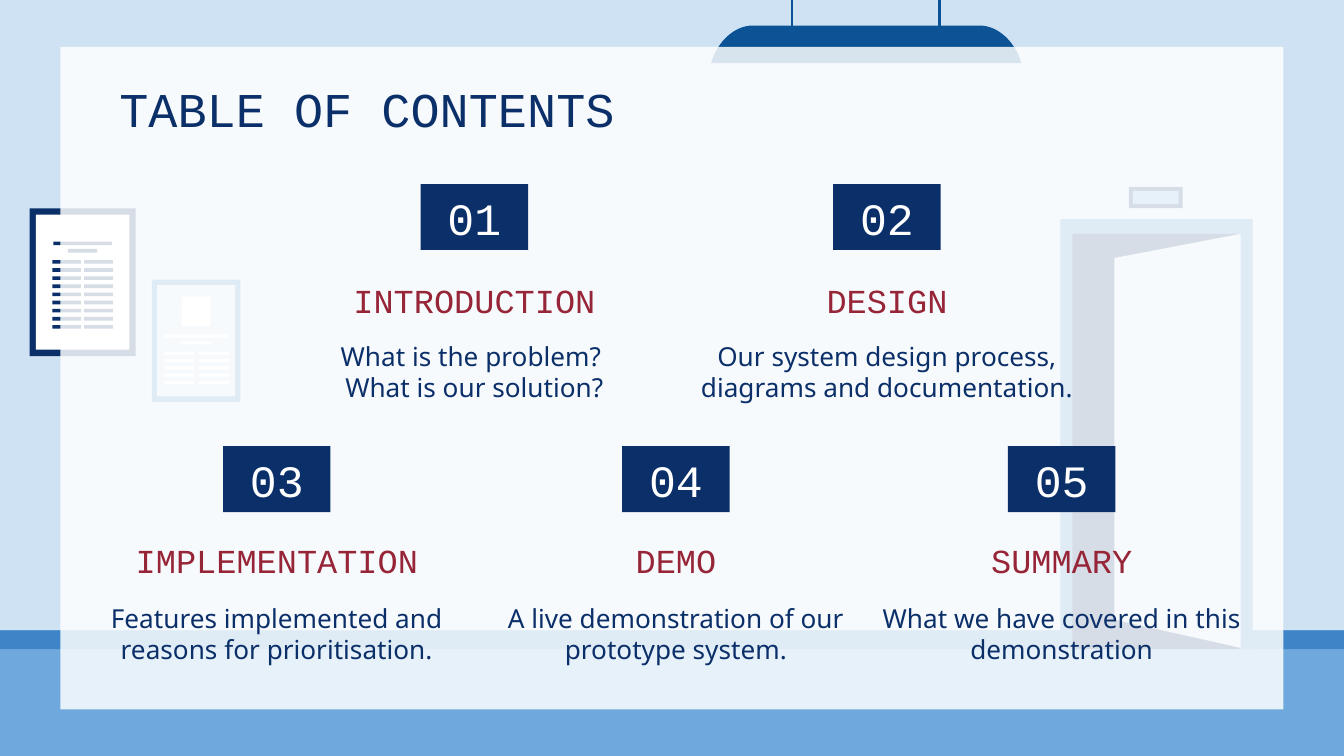
from itertools import product

from lxml import etree
from pptx import Presentation
from pptx.dml.color import RGBColor
from pptx.enum.shapes import MSO_CONNECTOR as Connector, MSO_SHAPE as Shape
from pptx.enum.text import MSO_ANCHOR as Anchor, PP_ALIGN as Align
from pptx.oxml.ns import qn
from pptx.util import Inches, Pt

WIDTH = 10
HEIGHT = WIDTH * 9 / 16
NAVY, BLUE, SKY, PALE = "0B2F69", "3D85C6", "6FA8DC", "CFE2F3"
LAMP, RED, WHITE = "0B5394", "972538", "FFFFFF"
MONO, SANS = "Courier New", "Noto Sans"

# Top and heading offset of each row; centre, number, heading, summary, summary width
ROWS = [
    (1.37, 0.58, [
        (3.53, "01", "INTRODUCTION",
         ["What is the problem? ", "What is our solution?"], 2.28),
        (6.6, "02", "DESIGN",
         ["Our system design process, diagrams and documentation."], 3),
    ]),
    (3.32, 0.57, [
        (2.06, "03", "IMPLEMENTATION",
         ["Features implemented and reasons for prioritisation."], 3),
        (5.03, "04", "DEMO",
         ["A live demonstration of our prototype system."], 3),
        (7.9, "05", "SUMMARY",
         ["What we have covered in this demonstration"], 3),
    ]),
]


def color(value):
    return RGBColor.from_string(value)


def paint(shape, fill):
    shape.shadow.inherit = False
    shape.fill.solid()
    shape.fill.fore_color.rgb = color(fill)
    shape.line.fill.background()
    return shape


def add_rect(page, left, top, width, height, fill):
    box = page.shapes.add_shape(Shape.RECTANGLE, Inches(left), Inches(top),
                                Inches(width), Inches(height))
    return paint(box, fill)


def add_outline(page, points, fill):
    corners = [(Inches(x), Inches(y)) for x, y in points]
    builder = page.shapes.build_freeform(*corners[0])
    builder.add_line_segments(corners[1:], close=True)
    return paint(builder.convert_to_shape(), fill)


def write(box, lines, font, size, ink, align=Align.CENTER, anchor=Anchor.TOP):
    frame = box.text_frame
    frame.word_wrap = True
    frame.vertical_anchor = anchor
    frame.margin_left = frame.margin_right = Inches(0.1)
    frame.margin_top = frame.margin_bottom = Inches(0.1)
    for index, line in enumerate(lines):
        para = frame.add_paragraph() if index else frame.paragraphs[0]
        para.alignment = align
        span = para.add_run()
        span.text = line
        span.font.name = font
        span.font.size = Pt(size)
        span.font.color.rgb = color(ink)


def add_text(page, left, top, width, height, lines, *style, **options):
    box = page.shapes.add_textbox(Inches(left), Inches(top), Inches(width), Inches(height))
    write(box, lines, *style, **options)


def add_floor(page):
    top = 4.69
    add_rect(page, 0, top, WIDTH, HEIGHT - top, SKY)
    add_rect(page, 0, top, WIDTH, 0.14, BLUE)


def add_notice(page, left, top, width, height, colors, bars, columns, line_width, first, step, rows):
    """Framed sheet with centred bars (top, width, height) above two columns of text lines."""
    frame, paper, ink = colors
    border = width * 0.06
    add_rect(page, left, top, width, height, frame)
    add_rect(page, left + border, top + border, width - 2 * border, height - 2 * border, paper)
    for bar_top, bar_width, bar_height in bars:
        add_rect(page, left + width * (1 - bar_width) / 2, top + height * bar_top,
                 width * bar_width, height * bar_height, ink)
    for column, row in product(columns, range(rows)):
        add_rect(page, left + width * column, top + height * (first + row * step),
                 width * line_width, height * 0.025, ink)


def add_door(page, left, top, width, height):
    right, inner_top = left + width - 0.09, top + 0.11
    hinge = left + width * 0.28
    add_rect(page, left, top, width, height, BLUE)
    add_rect(page, left + 0.09, inner_top, width - 0.19, height - 0.11, NAVY)
    add_outline(page, [(right, inner_top), (hinge, top + 0.29),
                       (hinge, top + height - 0.22), (right, top + height - 0.01)], PALE)


def add_door_sign(page, left, top, width, height):
    add_rect(page, left, top, width, height, NAVY)
    add_rect(page, left + 0.03, top + 0.03, width - 0.06, height - 0.06, SKY)


def add_lamp(page, left, top, width, height):
    def edge(share):
        """Point on the left curve, from the flat top down to the rim."""
        rest = 1 - share
        x = 0.31 * rest**3 + 0.18 * 3 * rest**2 * share + 0.05 * 3 * rest * share**2
        y = 0.4 * 3 * rest * share**2 + share**3
        return x, y * height

    curve = [edge(step / 16) for step in range(17)]
    add_outline(page, [(left + x, top + y) for x, y in curve]
                + [(left + width - x, top + y) for x, y in reversed(curve)], LAMP)
    for x in (left + width * 0.26, left + width * 0.736):
        cord = page.shapes.add_connector(Connector.STRAIGHT, Inches(x), 0,
                                         Inches(x), Inches(top + 0.04))
        cord.line.color.rgb = color(LAMP)
        cord.line.width = Pt(1.11)
        etree.SubElement(cord._element.spPr, qn("a:effectLst"))


def add_panel(page, left, top, width, height):
    panel = add_rect(page, left, top, width, height, WHITE)
    shade = panel._element.spPr.find(qn("a:solidFill"))[0]
    etree.SubElement(shade, qn("a:alpha")).set("val", "84000")


def add_section(page, top, offset, center, number, heading, summary, summary_width):
    badge = add_rect(page, center - 0.4, top, 0.8, 0.49, NAVY)
    write(badge, [number], MONO, 24, WHITE, anchor=Anchor.MIDDLE)
    add_text(page, center - 1.37, top + offset, 2.74, 0.53, [heading], MONO, 18, RED,
             anchor=Anchor.BOTTOM)
    add_text(page, center - summary_width / 2, top + 1.06, summary_width, 0.63, summary,
             SANS, 14, NAVY)


def main():
    deck = Presentation()
    deck.slide_width, deck.slide_height = Inches(WIDTH), Inches(HEIGHT)
    page = deck.slides.add_slide(deck.slide_layouts[6])
    page.background.fill.solid()
    page.background.fill.fore_color.rgb = color(PALE)

    add_floor(page)
    add_notice(page, 1.13, 2.08, 0.66, 0.91, (BLUE, PALE, WHITE),
               [(0.505, 0.35, 0.025), (0.45, 0.72, 0.025), (0.14, 0.32, 0.24)],
               (0.14, 0.53), 0.34, 0.59, 0.06, 5)
    add_door(page, 7.89, 1.63, 1.43, 3.2)
    add_notice(page, 0.22, 1.55, 0.79, 1.1, (NAVY, WHITE, NAVY),
               [(0.275, 0.275, 0.025), (0.225, 0.55, 0.025)],
               (0.215, 0.515), 0.27, 0.35, 0.055, 9)
    add_door_sign(page, 8.4, 1.39, 0.4, 0.16)
    add_lamp(page, 5.29, 0.19, 2.31, 0.28)
    add_panel(page, 0.45, 0.35, 9.1, 4.93)
    add_text(page, 0.79, 0.49, 8.43, 0.63, ["TABLE OF CONTENTS"], MONO, 26, NAVY,
             align=Align.LEFT)
    for top, offset, sections in ROWS:
        for section in sections:
            add_section(page, top, offset, *section)
    deck.save("out.pptx")


if __name__ == "__main__":
    main()
